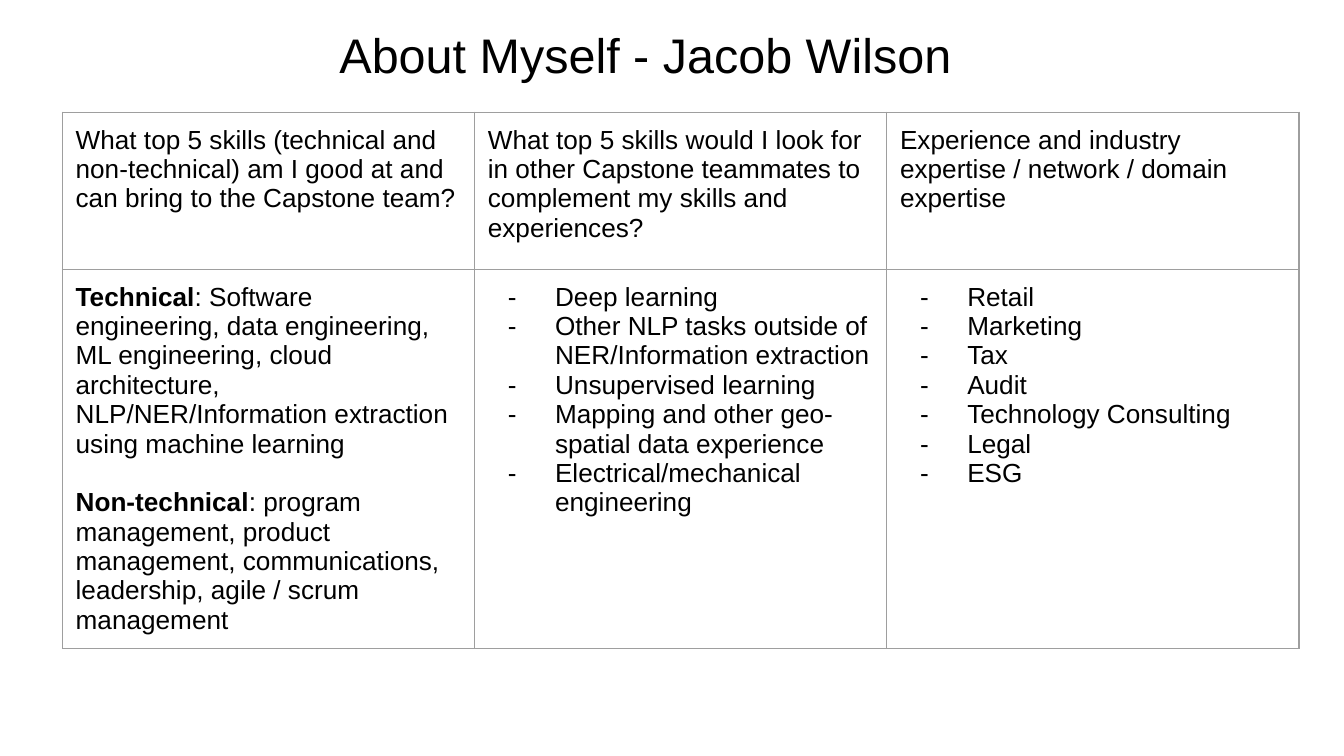
from lxml.etree import SubElement as Sub
from pptx import Presentation
from pptx.dml.color import RGBColor
from pptx.enum.text import MSO_ANCHOR as Anchor, PP_ALIGN as Align
from pptx.oxml.ns import qn
from pptx.util import Cm, Pt

HEADS = [
    "What top 5 skills (technical and non-technical) am I good at "
    "and can bring to the Capstone team?",
    "What top 5 skills would I look for in other Capstone teammates "
    "to complement my skills and experiences?",
    "Experience and industry expertise / network / domain expertise",
]
SKILLS = [
    ("Technical", ": Software engineering, data engineering, ML engineering, "
     "cloud architecture, NLP/NER/Information extraction using machine learning"),
    ("Non-technical", ": program management, product management, "
     "communications, leadership, agile / scrum management"),
]
WANTED = [
    "Deep learning",
    "Other NLP tasks outside of NER/Information extraction",
    "Unsupervised learning",
    "Mapping and other geo-spatial data experience",
    "Electrical/mechanical engineering",
]
FIELDS = ["Retail", "Marketing", "Tax", "Audit", "Technology Consulting",
          "Legal", "ESG"]


def color(code):
    return RGBColor.from_string(code)


class Deck:
    face, ink, rule = "Arial", "000000", "9E9E9E"
    pad = Cm(0.25)

    def __init__(self, wide, high):
        self.prs = Presentation()
        self.prs.slide_width, self.prs.slide_height = Cm(wide), Cm(high)
        self.slide = self.prs.slides.add_slide(self.prs.slide_layouts[5])

    def style(self, para, size):
        font = para.font
        font.name, font.size, font.bold = self.face, Pt(size), False
        font.color.rgb = color(self.ink)

    def title(self, text, x, y, wide, high):
        box = self.slide.shapes.title
        box.left, box.top, box.width, box.height = map(Cm, (x, y, wide, high))
        frame = box.text_frame
        frame.text = text
        frame.word_wrap = True
        frame.vertical_anchor = Anchor.MIDDLE
        para = frame.paragraphs[0]
        para.alignment = Align.CENTER
        self.style(para, 26)

    def table(self, x, y, cols, rows):
        shape = self.slide.shapes.add_table(
            len(rows), len(cols), Cm(x), Cm(y), Cm(sum(cols)), Cm(sum(rows)))
        grid = shape.table
        grid.first_row = grid.horz_banding = False
        for col, wide in zip(grid.columns, cols):
            col.width = Cm(wide)
        for row, high in zip(grid.rows, rows):
            row.height = Cm(high)
        for cell in grid.iter_cells():
            self.frame(cell)
        return grid

    def frame(self, cell):
        """Give a cell its margins, thin borders and empty fill."""
        cell.margin_left = cell.margin_right = self.pad
        cell.margin_top = cell.margin_bottom = self.pad
        props = cell._tc.get_or_add_tcPr()
        for side in ("lnL", "lnR", "lnT", "lnB"):
            line = Sub(props, qn("a:" + side), w=str(Pt(0.75)))
            Sub(Sub(line, qn("a:solidFill")), qn("a:srgbClr"), val=self.rule)
        cell.fill.background()

    def fill(self, cell, items, mark=None, gap=0):
        """Write one paragraph per item; a (lead, rest) pair has a bold lead."""
        for i, item in enumerate(items):
            text = cell.text_frame
            para = text.add_paragraph() if i else text.paragraphs[0]
            if i and gap:
                para.space_before = Pt(gap)
            if mark:
                self.bullet(para, mark)
            self.style(para, 14)
            if isinstance(item, tuple):
                lead, rest = item
                run = para.add_run()
                run.text, run.font.bold = lead, True
                para.add_run().text = rest
            else:
                para.add_run().text = item

    def bullet(self, para, mark):
        props = para._p.get_or_add_pPr()
        props.set("marL", str(Cm(1.27)))
        props.set("indent", str(-Cm(0.89)))
        Sub(Sub(props, qn("a:buClr")), qn("a:srgbClr"), val=self.ink)
        Sub(props, qn("a:buFont"), typeface=self.face)
        Sub(props, qn("a:buChar"), char=mark)


def main():
    deck = Deck(25.4, 14.29)
    deck.title("About Myself - Jacob Wilson", 2.02, 0.23, 20.38, 1.57)
    grid = deck.table(1.18, 2.12, [7.79] * 3, [2.97, 7.16])
    for i, head in enumerate(HEADS):
        deck.fill(grid.cell(0, i), [head])
    deck.fill(grid.cell(1, 0), SKILLS, gap=15.75)
    for i, items in enumerate((WANTED, FIELDS), 1):
        deck.fill(grid.cell(1, i), items, mark="-")
    deck.prs.save("out.pptx")


if __name__ == "__main__":
    main()
